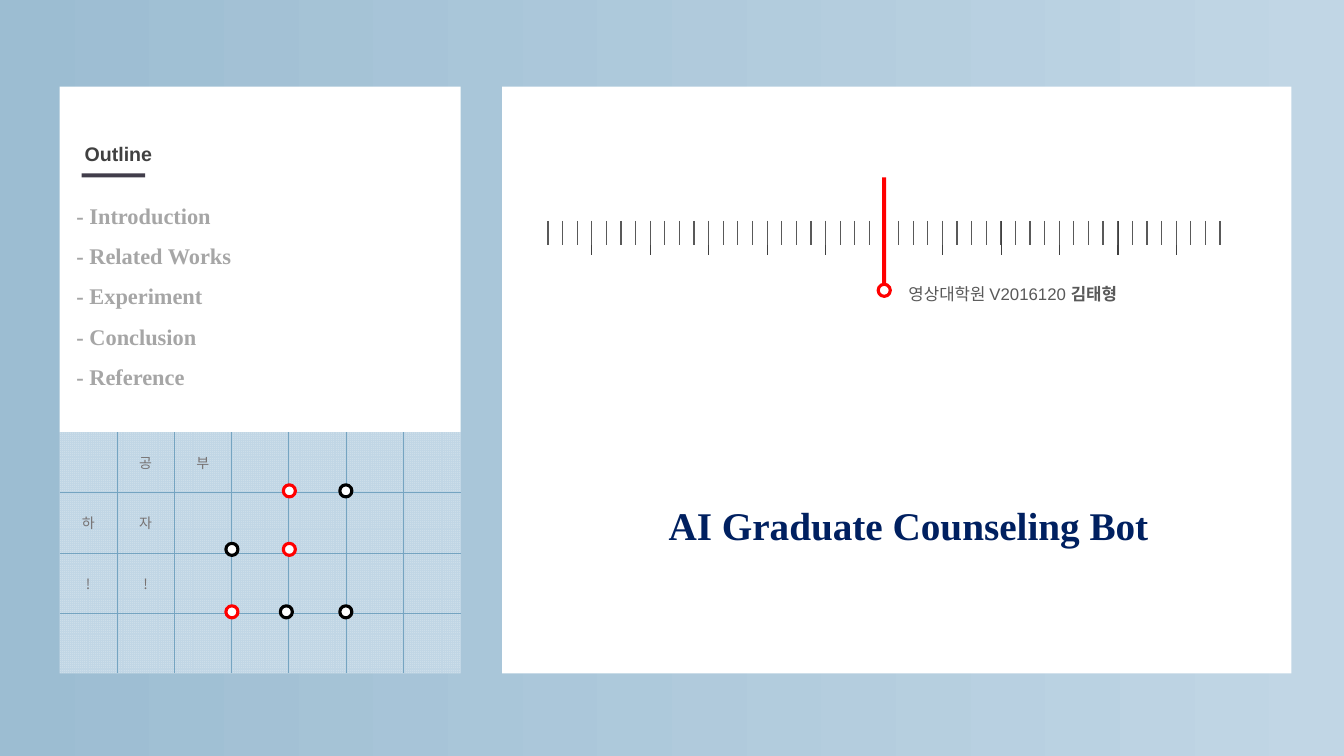
from lxml.etree import SubElement
from pptx import Presentation
from pptx.dml.color import RGBColor
from pptx.enum.dml import MSO_PATTERN
from pptx.enum.shapes import MSO_SHAPE
from pptx.enum.text import MSO_ANCHOR, PP_ALIGN
from pptx.oxml.ns import qn
from pptx.util import Inches, Pt

HUES = {
    "white": "FFFFFF", "black": "000000", "red": "FF0000", "navy": "002060",
    "left": "9CBDD2", "right": "C1D6E5", "mesh": "CDDEE9", "grid": "75A4C1",
    "dark": "404040", "mid": "595959", "note": "767171", "pale": "A6A6A6",
    "bar": "413D4B",
}
RGB = {name: RGBColor.from_string(code) for name, code in HUES.items()}
HANGUL = "Noto Sans CJK KR"


def add_form(kind, box, fill, line=None):
    form = slide.shapes.add_shape(kind, *map(Inches, box))
    form.shadow.inherit = False
    form.fill.solid()
    form.fill.fore_color.rgb = RGB[fill]
    if line:
        form.line.color.rgb = RGB[line]
        form.line.width = Pt(2.25)
    else:
        form.line.fill.background()
    return form


def write(frame, lines, style, space=1.5, align=PP_ALIGN.LEFT):
    for i, runs in enumerate(lines):
        para = frame.add_paragraph() if i else frame.paragraphs[0]
        para.line_spacing = space
        para.alignment = align
        for text, extra in runs:
            run = para.add_run()
            run.text = text
            look = {**style, **extra}
            run.font.color.rgb = RGB[look.pop("hue")]
            for key, value in look.items():
                setattr(run.font, key, value)
            SubElement(run.font._element, qn("a:ea"), typeface=HANGUL)


deck = Presentation()
deck.slide_width, deck.slide_height = Inches(13.33), Inches(7.5)
slide = deck.slides.add_slide(deck.slide_layouts[5])

back = slide.background.fill
back.gradient()
back.gradient_angle = 0
for stop, hue in zip(back.gradient_stops, ("left", "right")):
    stop.color.rgb = RGB[hue]

add_form(MSO_SHAPE.RECTANGLE, (4.98, 0.86, 7.83, 5.82), "white")
add_form(MSO_SHAPE.RECTANGLE, (0.59, 0.86, 3.98, 3.43), "white")
mesh = add_form(MSO_SHAPE.RECTANGLE, (0.59, 4.29, 3.98, 2.39), "mesh")
mesh.fill.patterned()
mesh.fill.pattern = MSO_PATTERN.SMALL_GRID
mesh.fill.fore_color.rgb = RGB["right"]
mesh.fill.back_color.rgb = RGB["mesh"]

WORDS = {(0, 1): "공", (0, 2): "부", (1, 0): "하", (1, 1): "자", (2, 0): "!", (2, 1): "!"}
TABLES = [
    ((5.29, 2.19, 6.96, 0.34), 1, 12, "dark", 1, {}),
    ((5.29, 2.19, 6.96, 0.24), 1, 48, "mid", 1, {}),
    ((0.59, 4.29, 3.98, 2.39), 4, 7, "grid", 0.5, WORDS),
]
for box, rows, cols, hue, width, words in TABLES:
    table = slide.shapes.add_table(rows, cols, *map(Inches, box)).table
    table.first_row = table.horz_banding = False
    style = table._tbl.tblPr.find(qn("a:tableStyleId"))
    style.text = "{2D5ABB26-0587-4C30-8999-92F81FD0307C}"
    for col in table.columns:
        col.width = Inches(box[2] / cols)
    for row in table.rows:
        row.height = Inches(box[3] / rows)
    for r in range(rows):
        for c in range(cols):
            cell = table.cell(r, c)
            for side in ("left", "right", "top", "bottom"):
                setattr(cell, f"margin_{side}", 0)
            cell.vertical_anchor = MSO_ANCHOR.MIDDLE
            if (r, c) in words:
                write(cell.text_frame, [[(words[r, c], {})]],
                      {"size": Pt(10), "name": HANGUL, "hue": "note"}, 1, PP_ALIGN.CENTER)
            else:
                SubElement(cell.text_frame.paragraphs[0]._p, qn("a:endParaRPr"), sz="100")
            edges = {"lnL": c > 0, "lnR": c < cols - 1, "lnT": r > 0, "lnB": r < rows - 1}
            for edge, shown in edges.items():
                if shown:
                    line = SubElement(cell._tc.get_or_add_tcPr(), qn(f"a:{edge}"), w=str(Pt(width)))
                    paint = SubElement(line, qn("a:solidFill"))
                    SubElement(paint, qn("a:srgbClr"), val=HUES[hue])
            cell.fill.background()

add_form(MSO_SHAPE.RECTANGLE, (8.75, 1.76, 0.04, 1.14), "red")
add_form(MSO_SHAPE.RECTANGLE, (0.81, 1.72, 0.63, 0.04), "bar")
DOTS = {
    "red": [(8.71, 2.82), (2.81, 4.81), (2.81, 5.39), (2.24, 6.01)],
    "black": [(2.78, 6.01), (3.37, 4.81), (3.37, 6.01), (2.24, 5.39)],
}
for hue, spots in DOTS.items():
    for x, y in spots:
        add_form(MSO_SHAPE.OVAL, (x, y, 0.12, 0.12), "white", hue)

title = slide.shapes.title
title.element.getparent().append(title.element)
SERIF = {"name": "Times New Roman", "bold": True}
SANS = {"name": "Arial"}
TOPICS = ["Introduction", "Related Works", "Experiment", "Conclusion", "Reference"]
TEXTS = [
    (title, (5.58, 4.69, 6.86, 0.72), [[("AI Graduate Counseling Bot", {})]],
     {**SERIF, "size": Pt(28), "hue": "navy"}, PP_ALIGN.CENTER, {}),
    (None, (9.01, 2.58, 3.01, 0.57), [[("영상대학원 V2016120 ", {}), ("김태형", {"bold": True})]],
     {**SANS, "size": Pt(12), "hue": "mid"}, PP_ALIGN.LEFT,
     {"vertical_anchor": MSO_ANCHOR.MIDDLE, "margin_left": 0, "margin_right": 0,
      "margin_top": 0, "margin_bottom": 0}),
    (None, (0.74, 1.24, 0.89, 0.41), [[("Outline", {})]],
     {**SANS, "size": Pt(14), "bold": True, "hue": "dark"}, PP_ALIGN.LEFT, {"word_wrap": False}),
    (None, (0.66, 1.82, 4.32, 2.12), [[(f"- {topic}", {})] for topic in TOPICS],
     {**SERIF, "size": Pt(16), "hue": "pale"}, PP_ALIGN.LEFT, {}),
]
for shape, box, lines, style, align, layout in TEXTS:
    shape = shape or slide.shapes.add_textbox(0, 0, 0, 0)
    for key, value in zip(("left", "top", "width", "height"), box):
        setattr(shape, key, Inches(value))
    layout = {"word_wrap": True, "vertical_anchor": MSO_ANCHOR.TOP, **layout}
    for key, value in layout.items():
        setattr(shape.text_frame, key, value)
    write(shape.text_frame, lines, style, align=align)

deck.save("out.pptx")
